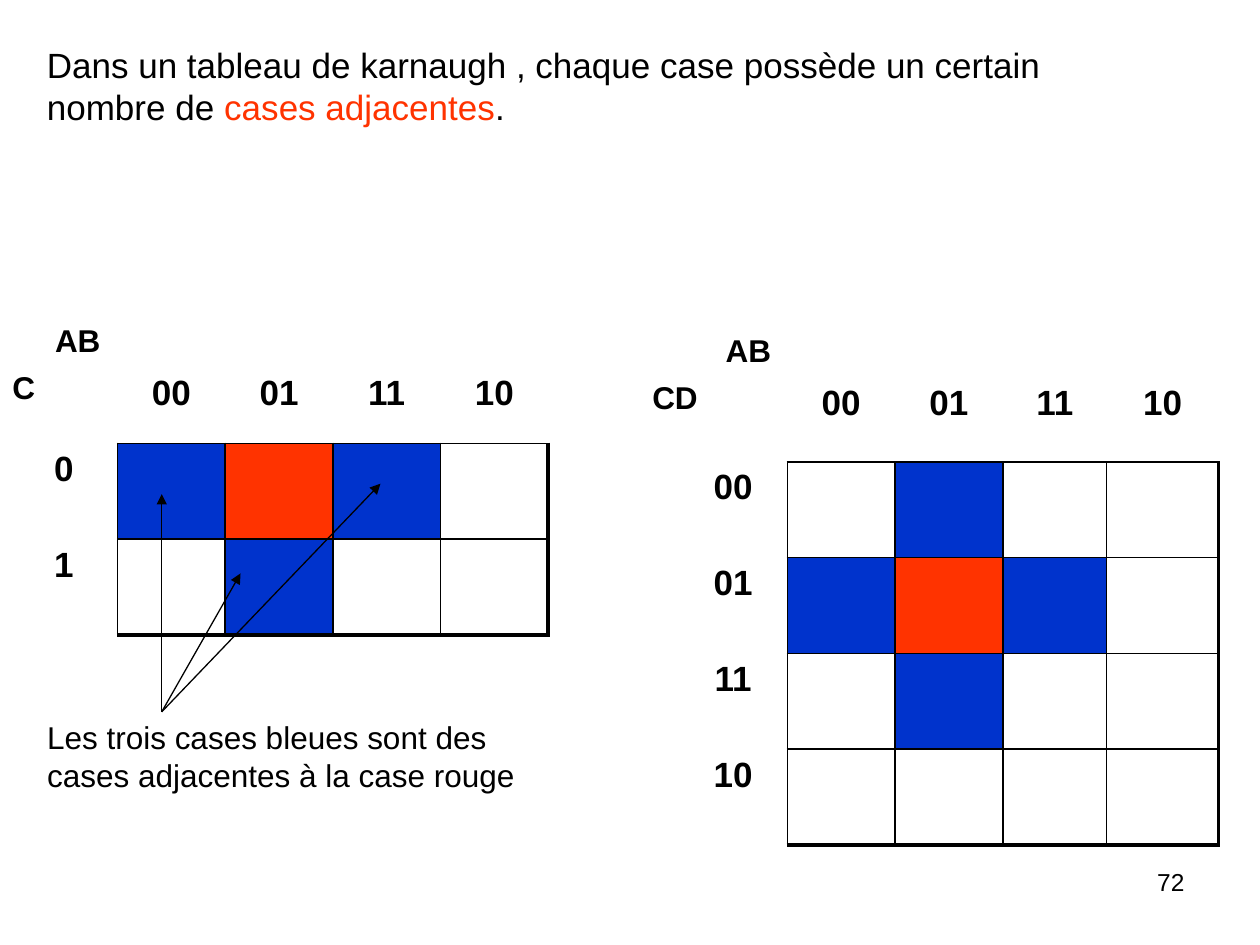
from lxml.etree import SubElement
from pptx import Presentation
from pptx.dml.color import RGBColor
from pptx.enum.shapes import MSO_CONNECTOR
from pptx.enum.text import MSO_ANCHOR, MSO_AUTO_SIZE, PP_ALIGN
from pptx.oxml.ns import qn
from pptx.util import Cm, Pt

COLORS = {"black": "000000", "blue": "0033CC", "red": "FF3300"}
FILLS = {"B": "blue", "R": "red"}
GRAY_CODE = ["00", "01", "11", "10"]
NO_STYLE = "{2D5ABB26-0587-4C30-8999-92F81FD0307C}"
THIN, THICK = Pt(1), Pt(2.25)


def rgb(name):
    return RGBColor.from_string(COLORS[name])


def add_run(p, text, size, bold=False, color="black"):
    r = p.add_run()
    r.text = text
    for key, value in {"name": "Arial", "size": Pt(size), "bold": bold}.items():
        setattr(r.font, key, value)
    r.font.color.rgb = rgb(color)


def fill_box(sp, runs, size, bold=False, align=PP_ALIGN.LEFT):
    tf = sp.text_frame
    settings = {"word_wrap": True, "auto_size": MSO_AUTO_SIZE.NONE,
                "vertical_anchor": MSO_ANCHOR.TOP}
    for key, value in settings.items():
        setattr(tf, key, value)
    p = tf.paragraphs[0]
    p.alignment = align
    for text, color in runs:
        add_run(p, text, size, bold, color)


def add_text(s, box, text, size=18, **style):
    sp = s.shapes.add_textbox(*map(Cm, box))
    fill_box(sp, [(text, "black")], size, **style)


def add_title(s, box, runs):
    sp = s.shapes.title
    for key, value in zip(("left", "top", "width", "height"), box):
        setattr(sp, key, Cm(value))
    fill_box(sp, runs, 20)


def set_borders(cell, widths):
    tc_pr = cell._tc.get_or_add_tcPr()
    for side in "LRTB":
        width = widths.get(side, 0)
        ln = SubElement(tc_pr, qn(f"a:ln{side}"), w=str(int(width)))
        if width:
            fill = SubElement(ln, qn("a:solidFill"))
            SubElement(fill, qn("a:srgbClr"), val=COLORS["black"])
        else:
            SubElement(ln, qn("a:noFill"))


def cell_borders(row, col, last_row, last_col):
    if row and col:
        return {"L": THIN, "T": THIN,
                "R": THICK if col == last_col else THIN,
                "B": THICK if row == last_row else THIN}
    if row:
        return {"R": THIN}
    return {"B": THIN} if col else {}


def add_karnaugh(s, left, top, widths, header_height, labels, pattern):
    heights = [header_height] + [1.93] * len(labels)
    frame = s.shapes.add_table(len(heights), len(widths), Cm(left), Cm(top),
                               Cm(sum(widths)), Cm(sum(heights)))
    table = frame.table
    table.first_row = table.horz_banding = False
    table._tbl.tblPr.find(qn("a:tableStyleId")).text = NO_STYLE
    for column, width in zip(table.columns, widths):
        column.width = Cm(width)
    for i, height in enumerate(heights):
        table.rows[i].height = Cm(height)
        for j in range(len(widths)):
            cell = table.cell(i, j)
            set_borders(cell, cell_borders(i, j, len(labels), len(GRAY_CODE)))
            mark = pattern[i - 1][j - 1] if i and j else "."
            if mark in FILLS:
                cell.fill.solid()
                cell.fill.fore_color.rgb = rgb(FILLS[mark])
            else:
                cell.fill.background()
            if (i == 0) != (j == 0):
                cell.margin_top = Cm(0.13 if i else 1.05)
                p = cell.text_frame.paragraphs[0]
                p.alignment = PP_ALIGN.CENTER
                add_run(p, labels[i - 1] if i else GRAY_CODE[j - 1], 20, True)


def add_arrow(s, start, end):
    cx = s.shapes.add_connector(MSO_CONNECTOR.STRAIGHT, *map(Cm, start + end))
    cx.line.width = Pt(0.75)
    cx.line.color.rgb = rgb("black")
    SubElement(cx.line._get_or_add_ln(), qn("a:tailEnd"), type="triangle")
    SubElement(cx._element.spPr, qn("a:effectLst"))


def main():
    prs = Presentation()
    prs.slide_width, prs.slide_height = Cm(25.4), Cm(19.05)
    s = prs.slides.add_slide(prs.slide_layouts[5])

    add_title(s, (0.69, 0.75, 21.62, 1.96), [
        ("Dans un tableau de karnaugh , chaque case possède un certain nombre de ", "black"),
        ("cases adjacentes", "red"),
        (".", "black"),
    ])

    add_karnaugh(s, 0.2, 6.48, [2.17] * 5, 2.46, ["0", "1"], ["BRB.", ".B.."])
    add_text(s, (0.86, 6.35, 2.16, 1.02), "AB", bold=True)
    add_text(s, (0, 7.29, 1.3, 1.02), "C", bold=True)

    add_karnaugh(s, 13.69, 6.68, [2.18, 2.17, 2.18, 2.09, 2.25], 2.63, GRAY_CODE,
                 [".B..", "BRB.", ".B..", "...."])
    add_text(s, (14.38, 6.55, 2.16, 1.02), "AB", bold=True)
    add_text(s, (12.9, 7.49, 1.8, 1.02), "CD", bold=True)

    for target in [(3.26, 9.96), (7.67, 9.75), (4.85, 11.56)]:
        add_arrow(s, (3.26, 14.35), target)
    add_text(s, (0.7, 14.35, 10.95, 1.78),
             "Les trois cases bleues sont des cases adjacentes à la case rouge")

    add_text(s, (18.21, 17.35, 5.92, 1.32), "72", size=14, align=PP_ALIGN.RIGHT)
    prs.save("out.pptx")


if __name__ == "__main__":
    main()
